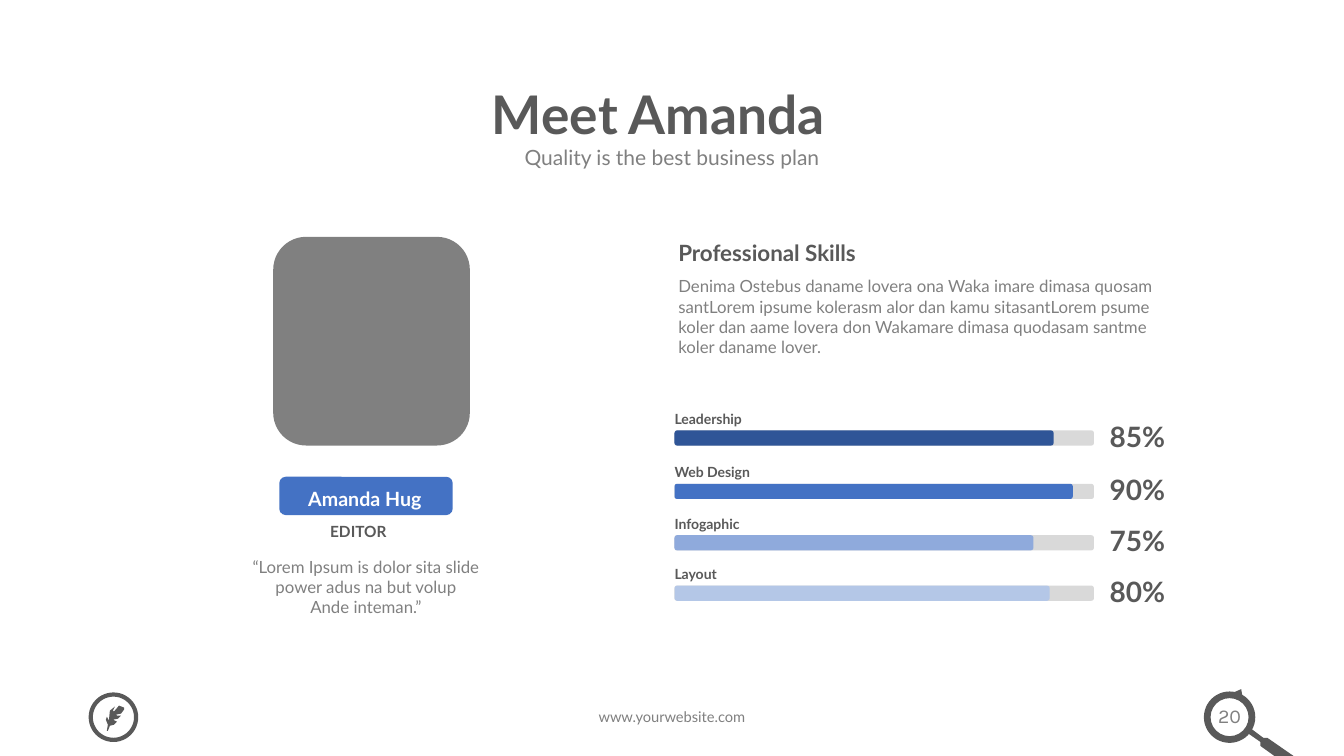
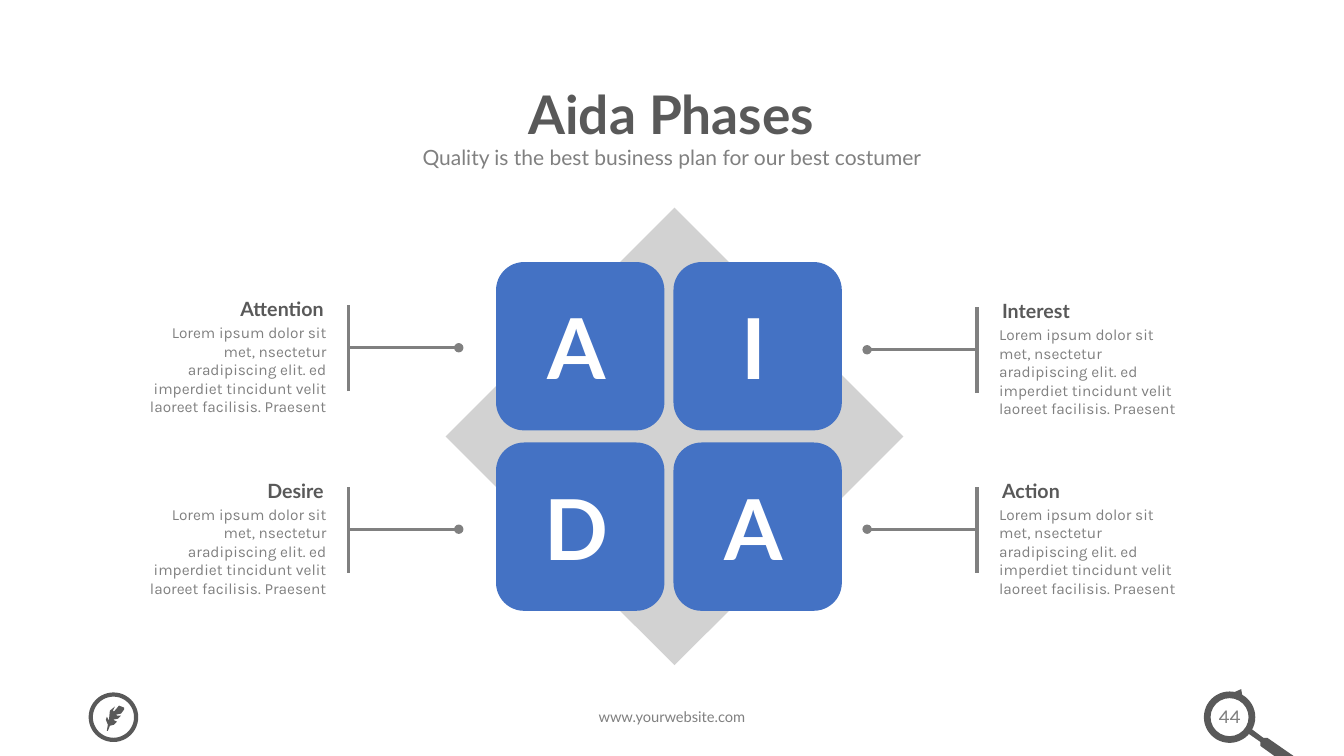
from dataclasses import dataclass
from typing import NamedTuple

from lxml.etree import SubElement
from pptx import Presentation
from pptx.dml.color import RGBColor
from pptx.enum.shapes import MSO_CONNECTOR, MSO_SHAPE
from pptx.enum.text import MSO_ANCHOR, MSO_AUTO_SIZE, PP_ALIGN
from pptx.oxml.ns import qn
from pptx.util import Inches, Pt


@dataclass(frozen=True)
class Theme:
    heading_font: str = "Lato"
    detail_font: str = "Karla"
    dark: str = "595959"
    gray: str = "808080"
    track: str = "D9D9D9"
    diamond: str = "A6A6A6"
    white: str = "FFFFFF"
    accent: str = "4472C4"
    accent_dark: str = "2F5597"
    accent_mid: str = "8FAADC"
    accent_light: str = "B4C7E7"
    title_size: float = 38
    subtitle_size: float = 15
    section_size: float = 16
    heading_size: float = 14
    body_size: float = 12
    detail_size: float = 11
    label_size: float = 10
    website_size: float = 10.5
    percent_size: float = 20
    letter_size: float = 60


class Box(NamedTuple):
    left: float
    top: float
    width: float
    height: float

    def inner(self, left, top, width, height):
        return Box(self.left + left, self.top + top, width, height)

    def lengths(self):
        return [Inches(value) for value in self]


class Skill(NamedTuple):
    name: str
    percent: str
    top: float
    fill_width: float
    color: str


class Phase(NamedTuple):
    name: str
    column: int
    row: int
    callout_top: float


THEME = Theme()
DEFAULT_INSETS = (0.1, 0.05, 0.1, 0.05)
NO_INSETS = (0, 0, 0, 0)
PHASE_TEXT = (
    "Lorem ipsum dolor sit met, nsectetur aradipiscing elit. ed "
    "imperdiet tincidunt velit laoreet facilisis. Praesent"
)
SKILLS_TEXT = (
    "Denima Ostebus daname lovera ona Waka imare dimasa quosam "
    "santLorem ipsume kolerasm alor dan kamu sitasantLorem psume "
    "koler dan aame lovera don Wakamare dimasa quodasam santme "
    "koler daname lover."
)
SKILLS = [
    Skill("Leadership", "85%", 4.27, 3.76, THEME.accent_dark),
    Skill("Web Design", "90%", 4.8, 3.95, THEME.accent),
    Skill("Infogaphic", "75%", 5.31, 3.56, THEME.accent_mid),
    Skill("Layout", "80%", 5.81, 3.72, THEME.accent_light),
]
PHASES = [
    Phase("Attention", 0, 0, 3.03),
    Phase("Interest", 1, 0, 3.05),
    Phase("Desire", 0, 1, 4.83),
    Phase("Action", 1, 1, 4.83),
]
FEATHER = [
    (0.02, 0.25), (0.04, 0.2), (0.08, 0.19), (0.11, 0.16), (0.07, 0.14),
    (0.12, 0.13), (0.15, 0.1), (0.11, 0.1), (0.1, 0.09), (0.15, 0.08),
    (0.18, 0.04), (0.18, 0.02), (0.13, 0), (0.08, 0.06), (0.07, 0.05),
    (0.09, 0.01), (0.04, 0.05), (0.03, 0.15), (0.01, 0.11), (0, 0.14),
    (0.02, 0.19), (0.01, 0.25),
]
HANDLE = [
    (0.43, 0.41), (0.47, 0.37), (0.59, 0.46), (0.63, 0.46),
    (0.89, 0.64), (0.7, 0.64), (0.56, 0.54), (0.56, 0.5),
]


def write_text(shape, text, size, color, bold=False, font=THEME.heading_font,
               align=PP_ALIGN.LEFT, anchor=MSO_ANCHOR.TOP,
               insets=DEFAULT_INSETS, line_spacing=1.0):
    frame = shape.text_frame
    frame.text = text
    frame.word_wrap = True
    frame.auto_size = MSO_AUTO_SIZE.NONE
    frame.vertical_anchor = anchor
    (frame.margin_left, frame.margin_top,
     frame.margin_right, frame.margin_bottom) = map(Inches, insets)
    for paragraph in frame.paragraphs:
        paragraph.alignment = align
        paragraph.line_spacing = line_spacing
        for run in paragraph.runs:
            run.font.name = font
            run.font.size = Pt(size)
            run.font.bold = bold
            run.font.color.rgb = RGBColor.from_string(color)


def add_text(slide, box, text, size, color, **style):
    shape = slide.shapes.add_textbox(*box.lengths())
    write_text(shape, text, size, color, **style)


def paint(shape, color):
    shape.shadow.inherit = False
    shape.fill.solid()
    shape.fill.fore_color.rgb = RGBColor.from_string(color)
    shape.line.fill.background()
    return shape


def add_shape(slide, kind, box, color):
    return paint(slide.shapes.add_shape(kind, *box.lengths()), color)


def add_outline(slide, box, points, color):
    corners = [(Inches(box.left + x), Inches(box.top + y)) for x, y in points]
    builder = slide.shapes.build_freeform(*corners[0])
    builder.add_line_segments(corners[1:])
    paint(builder.convert_to_shape(), color)


def add_line(slide, start, end, dotted=False):
    connector = slide.shapes.add_connector(
        MSO_CONNECTOR.STRAIGHT, *map(Inches, start + end))
    connector.line.color.rgb = RGBColor.from_string(THEME.gray)
    connector.line.width = Pt(2.25)
    properties = connector._element.spPr
    if dotted:
        SubElement(properties.find(qn("a:ln")), qn("a:tailEnd"), type="oval")
    SubElement(properties, qn("a:effectLst"))


def place_heading(slide, box, title, subtitle):
    shape = slide.shapes.title
    shape.left, shape.top, shape.width, shape.height = box.lengths()
    write_text(shape, title, THEME.title_size, THEME.dark, bold=True,
               align=PP_ALIGN.CENTER, anchor=MSO_ANCHOR.MIDDLE,
               line_spacing=0.9)
    add_text(slide, Box(2.67, 1.36, 7.99, 0.39), subtitle,
             THEME.subtitle_size, THEME.gray, align=PP_ALIGN.CENTER,
             insets=(0.13, 0.07, 0.13, 0.07))


def place_feather_badge(slide, box):
    ring = add_shape(slide, MSO_SHAPE.OVAL, box, THEME.white)
    ring.fill.background()
    ring.line.color.rgb = RGBColor.from_string(THEME.dark)
    ring.line.width = Pt(3)
    add_outline(slide, box.inner(0.15, 0.11, 0.18, 0.26), FEATHER, THEME.dark)


def place_page_number(slide, box, number):
    add_text(slide, box.inner(-0.05, 0.07, 0.61, 0.34), number,
             THEME.heading_size, THEME.gray, font=THEME.detail_font,
             align=PP_ALIGN.CENTER)
    arrow = add_shape(slide, MSO_SHAPE.RIGHT_ARROW,
                      box.inner(0.29, -0.03, 0.11, 0.11), THEME.dark)
    arrow.rotation = 298.7
    arrow.adjustments[0] = 0.32
    arrow.adjustments[1] = 0.64
    lens = add_shape(slide, MSO_SHAPE.DONUT, box, THEME.dark)
    lens.adjustments[0] = 0.13
    add_outline(slide, box, HANDLE, THEME.dark)


def place_footer(slide, number):
    place_feather_badge(slide, Box(0.9, 6.89, 0.45, 0.45))
    add_text(slide, Box(4.25, 6.97, 4.83, 0.29), "www.yourwebsite.com",
             THEME.website_size, THEME.gray, align=PP_ALIGN.CENTER)
    place_page_number(slide, Box(11.94, 6.86, 0.51, 0.51), number)


def start_slide(presentation, title_box, title, subtitle, number):
    slide = presentation.slides.add_slide(presentation.slide_layouts[5])
    place_heading(slide, title_box, title, subtitle)
    place_footer(slide, number)
    return slide


def place_profile(slide, box):
    add_shape(slide, MSO_SHAPE.ROUNDED_RECTANGLE,
              box.inner(0.35, 0, 1.95, 2.07), THEME.gray)
    name_plate = add_shape(slide, MSO_SHAPE.ROUNDED_RECTANGLE,
                           box.inner(0.41, 2.38, 1.72, 0.38), THEME.accent)
    write_text(name_plate, "Amanda Hug", THEME.heading_size, THEME.white,
               bold=True, align=PP_ALIGN.CENTER, anchor=MSO_ANCHOR.MIDDLE,
               insets=(0, 0.05, 0.02, 0))
    add_text(slide, box.inner(0.24, 2.69, 1.91, 0.38), "EDITOR",
             THEME.detail_size, THEME.dark, bold=True, align=PP_ALIGN.CENTER,
             anchor=MSO_ANCHOR.MIDDLE, line_spacing=1.5)
    quote = ("“Lorem Ipsum is dolor sita slide power adus na but volup\n"
             "Ande inteman.”")
    add_text(slide, box.inner(0, 3.12, 2.54, 0.71), quote,
             THEME.body_size, THEME.gray, align=PP_ALIGN.CENTER)


def place_skill(slide, box, skill):
    add_text(slide, box.inner(0, -0.2, 1.5, 0.17), skill.name,
             THEME.label_size, THEME.dark, bold=True,
             anchor=MSO_ANCHOR.MIDDLE, insets=NO_INSETS)
    bars = [(box.width, THEME.track), (skill.fill_width, skill.color)]
    for width, color in bars:
        add_shape(slide, MSO_SHAPE.ROUNDED_RECTANGLE,
                  box.inner(0, 0, width, box.height), color)
    add_text(slide, box.inner(4.2, -0.07, 0.78, 0.36), skill.percent,
             THEME.percent_size, THEME.dark, bold=True,
             align=PP_ALIGN.CENTER, line_spacing=0.7)


def place_skills(slide, box):
    add_text(slide, box.inner(0, 0, 2.16, 0.37), "Professional Skills",
             THEME.section_size, THEME.dark, bold=True)
    add_text(slide, box.inner(0, 0.37, box.width, 0.91), SKILLS_TEXT,
             THEME.body_size, THEME.gray)
    for skill in SKILLS:
        place_skill(slide, Box(box.left + 0.06, skill.top, 4.16, 0.15), skill)


def place_phase_tiles(slide, box):
    diamond = add_shape(slide, MSO_SHAPE.DIAMOND, box, THEME.diamond)
    color = diamond._element.spPr.find(".//" + qn("a:srgbClr"))
    SubElement(color, qn("a:alpha"), val="50000")
    for phase in PHASES:
        tile = add_shape(
            slide, MSO_SHAPE.ROUNDED_RECTANGLE,
            box.inner(0.5 + 1.76 * phase.column, 0.54 + 1.79 * phase.row,
                      1.67, 1.67), THEME.accent)
        write_text(tile, phase.name[0], THEME.letter_size, THEME.white,
                   bold=True, align=PP_ALIGN.CENTER,
                   anchor=MSO_ANCHOR.MIDDLE, insets=(0, 0, 0.07, 0))


def place_callout(slide, phase):
    direction = 1 if phase.column else -1
    dot = 8.6 if phase.column else 4.55
    align = PP_ALIGN.LEFT if phase.column else PP_ALIGN.RIGHT
    top = phase.callout_top
    stem = dot + direction * 1.09

    def outward_box(offset, drop, width, height):
        edge = dot + direction * offset
        left = edge if phase.column else edge - width
        return Box(left, top + drop, width, height)

    add_line(slide, (stem, top + 0.85), (stem, top))
    add_line(slide, (stem, top + 0.42), (dot, top + 0.42), dotted=True)
    add_text(slide, outward_box(1.24, -0.13, 1.5, 0.34), phase.name,
             THEME.heading_size, THEME.dark, bold=True, align=align)
    add_text(slide, outward_box(1.31, 0.18, 1.86, 0.74), PHASE_TEXT,
             THEME.detail_size, THEME.gray, font=THEME.detail_font,
             align=align, insets=NO_INSETS)


def build_profile_slide(presentation):
    slide = start_slide(presentation, Box(1.53, 0.75, 10, 0.82),
                        "Meet Amanda", "Quality is the best business plan",
                        "20")
    place_profile(slide, Box(2.36, 2.35, 2.54, 3.83))
    place_skills(slide, Box(6.63, 2.32, 4.97, 3.8))


def build_phases_slide(presentation):
    slide = start_slide(
        presentation, Box(1.66, 0.75, 10, 0.82), "Aida Phases",
        "Quality is the best business plan for our best costumer", "44")
    place_phase_tiles(slide, Box(4.42, 2.06, 4.54, 4.54))
    for phase in PHASES:
        place_callout(slide, phase)


def main():
    presentation = Presentation()
    presentation.slide_width = Inches(13.33)
    presentation.slide_height = Inches(7.5)
    build_profile_slide(presentation)
    build_phases_slide(presentation)
    presentation.save("out.pptx")


if __name__ == "__main__":
    main()
